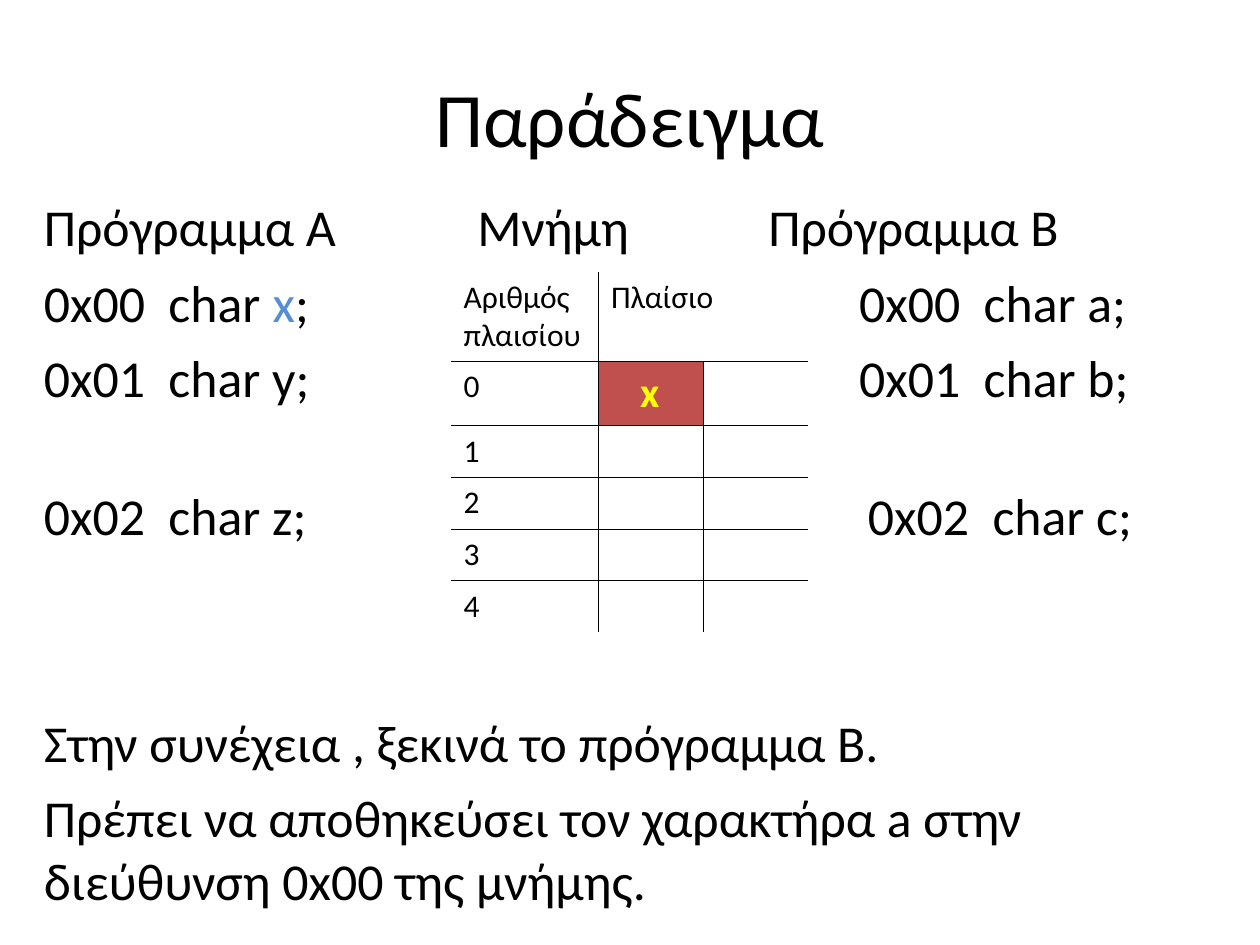
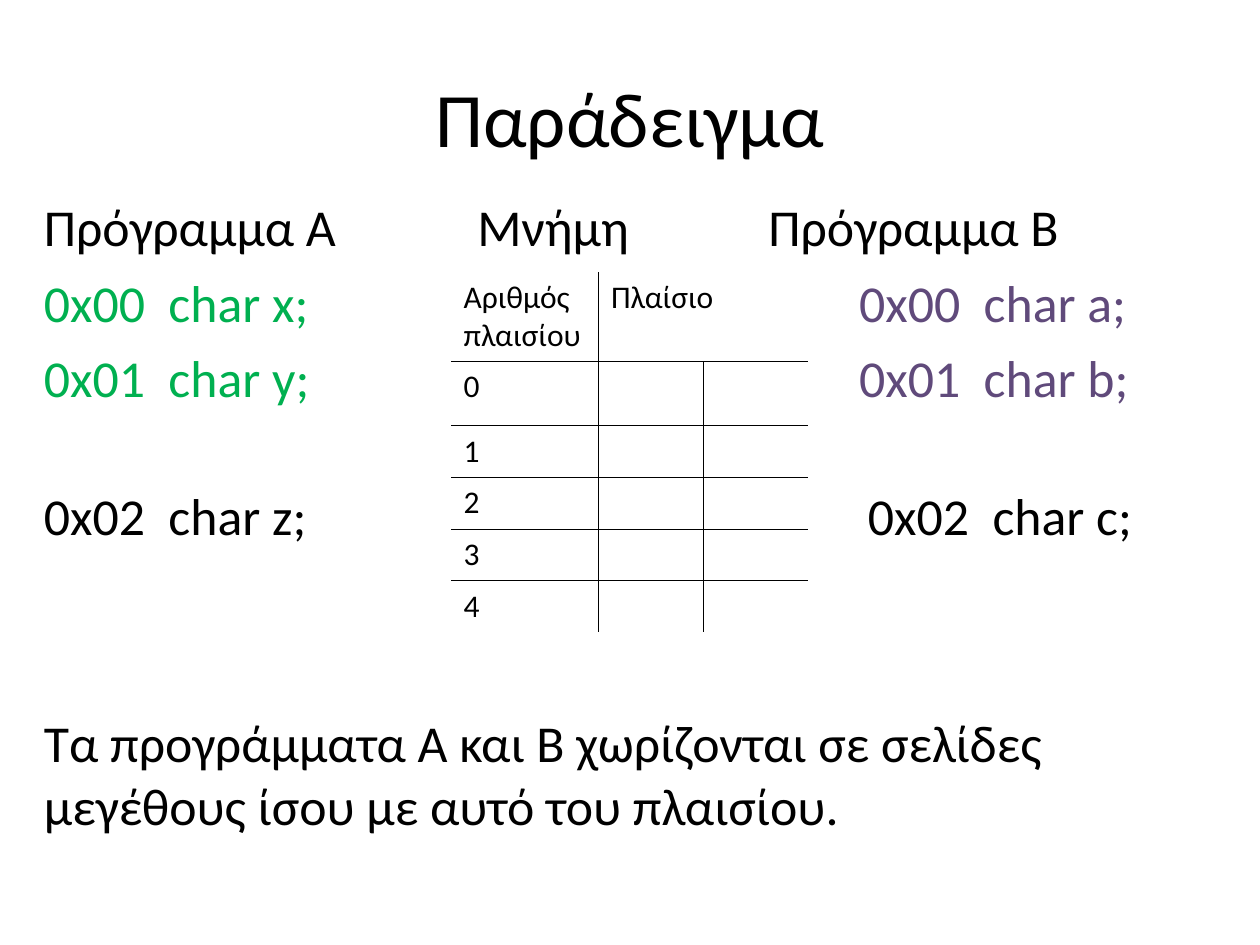
from pptx import Presentation
from pptx import util as u
from pptx.dml import color
from pptx.enum import text as t
from pptx.oxml import ns, xmlchemy as xc

FONT = "Calibri"
BLACK, BLUE, GREEN, PURPLE = "000000", "558ED5", "00B050", "604A7B"
RED, YELLOW = "C0504D", "FFFF00"
LINE = 36.1
GAP = 7.4
HEADS = ("Πρόγραμμα Α", "Μνήμη", "Πρόγραμμα Β")
HEAD_TABS = (3.44, 5.75)
COLS = (1.17, 0.83, 0.83)
ROWS = (0.71, 0.51, 0.41, 0.41, 0.41, 0.41)


def rgb(code):
    """Turn a hex string into a colour."""
    return color.RGBColor.from_string(code)


def style(font, size, code=BLACK, bold=False):
    """Set the face, size, colour and weight of a font."""
    font.name, font.size, font.bold = FONT, u.Pt(size), bold
    font.color.rgb = rgb(code)


def add_box(slide, box):
    """Add a wrapping text box and return its frame."""
    frame = slide.shapes.add_textbox(*map(u.Inches, box)).text_frame
    frame.word_wrap = True
    return frame


def set_tabs(para, stops):
    """Give a paragraph left tab stops, in inches."""
    tabs = xc.OxmlElement("a:tabLst")
    for stop in stops:
        tab = xc.OxmlElement("a:tab")
        tab.set("pos", str(u.Inches(stop)))
        tab.set("algn", "l")
        tabs.append(tab)
    para._p.get_or_add_pPr().append(tabs)


def add_title(slide, box):
    """Place the centred slide title."""
    frame = add_box(slide, box)
    frame.vertical_anchor = t.MSO_ANCHOR.MIDDLE
    para = frame.paragraphs[0]
    para.text = "Παράδειγμα"
    para.alignment = t.PP_ALIGN.CENTER
    style(para.font, 44)


def add_body(slide, box, code, notes):
    """Write the headings, both programs and the notes below them."""
    frame = add_box(slide, box)
    step = LINE + GAP
    lines = [(0, HEAD_TABS, [("\t".join(HEADS), BLACK)])]
    lines += [(gap, (stop,), runs)
              for gap, stop, runs in zip((GAP, GAP, GAP + LINE), (6.47, 6.47, 6.54), code)]
    lines += [(GAP if i else GAP + 2 * step, (), [(note, BLACK)])
              for i, note in enumerate(notes)]
    for i, (gap, stops, runs) in enumerate(lines):
        para = frame.add_paragraph() if i else frame.paragraphs[0]
        para.space_before = u.Pt(gap)
        if stops:
            set_tabs(para, stops)
        if len(runs) == 1:
            para.text = runs[0][0]
            style(para.font, 29.6, runs[0][1])
            continue
        for words, tint in runs:
            run = para.add_run()
            run.text = words
            style(run.font, 29.6, tint)


def rule_cell(cell, row, col):
    """Draw the inner grid lines that touch a cell."""
    sides = {"L": col > 0, "R": col < len(COLS) - 1 and (row or not col),
             "T": row > 0, "B": row < len(ROWS) - 1}
    props = cell._tc.get_or_add_tcPr()
    for i, (side, drawn) in enumerate(sides.items()):
        line = xc.OxmlElement(f"a:ln{side}")
        line.set("w", str(u.Pt(0.45) if drawn else 0))
        fill = xc.OxmlElement("a:solidFill" if drawn else "a:noFill")
        if drawn:
            tint = xc.OxmlElement("a:srgbClr")
            tint.set("val", BLACK)
            fill.append(tint)
        line.append(fill)
        props.insert(i, line)


def add_memory(slide, box, stored):
    """Add the table of memory frames, with a character in frame 0 if stored."""
    table = slide.shapes.add_table(len(ROWS), len(COLS), *map(u.Inches, box)).table
    table.first_row = table.horz_banding = False
    table._tbl.tblPr.find(ns.qn("a:tableStyleId")).text = "{2D5ABB26-0587-4C30-8999-92F81FD0307C}"
    for col, width in zip(table.columns, COLS):
        col.width = u.Inches(width)
    for row, height in zip(table.rows, ROWS):
        row.height = u.Inches(height)
    table.cell(0, 1).merge(table.cell(0, 2))
    words = {(0, 0): "Αριθμός πλαισίου", (0, 1): "Πλαίσιο", (1, 1): stored}
    words.update({(i + 1, 0): str(i) for i in range(len(ROWS) - 1)})
    for row in range(len(ROWS)):
        for col in range(len(COLS)):
            cell = table.cell(row, col)
            cell.text = words.get((row, col), "")
            cell.fill.background()
            style(cell.text_frame.paragraphs[0].font, 18)
            rule_cell(cell, row, col)
    if stored:
        cell = table.cell(1, 1)
        cell.fill.solid()
        cell.fill.fore_color.rgb = rgb(RED)
        cell.margin_left = u.Inches(0.33)
        style(cell.text_frame.paragraphs[0].font, 24, YELLOW, True)


def add_slide(deck, code, notes, stored=""):
    """Build one example slide."""
    slide = deck.slides.add_slide(deck.slide_layouts[6])
    add_title(slide, (0.5, 0.3, 9, 1.25))
    add_body(slide, (0.25, 1.5, 9.58, 5.75), code, notes)
    add_memory(slide, (3.58, 2.16, sum(COLS), sum(ROWS)), stored)


def main():
    """Build the deck."""
    deck = Presentation()
    deck.slide_width, deck.slide_height = u.Inches(10), u.Inches(7.5)
    last = [("0x02  char z;\t0x02  char c;", BLACK)]
    add_slide(deck,
              [[("0x00  char ", BLACK), ("x", BLUE), (";\t0x00  char a;", BLACK)],
               [("0x01  char y;\t0x01  char b;", BLACK)], last],
              ["Στην συνέχεια , ξεκινά το πρόγραμμα Β.",
               "Πρέπει να αποθηκεύσει τον χαρακτήρα a στην διεύθυνση 0x00 της μνήμης."],
              "x")
    add_slide(deck,
              [[("0x00  char x;\t", GREEN), ("0x00  char a;", PURPLE)],
               [("0x01  char y;\t", GREEN), ("0x01  char b;", PURPLE)], last],
              ["Τα προγράμματα Α και Β χωρίζονται σε σελίδες μεγέθους ίσου με αυτό του πλαισίου."])
    deck.save("out.pptx")


if __name__ == "__main__":
    main()
